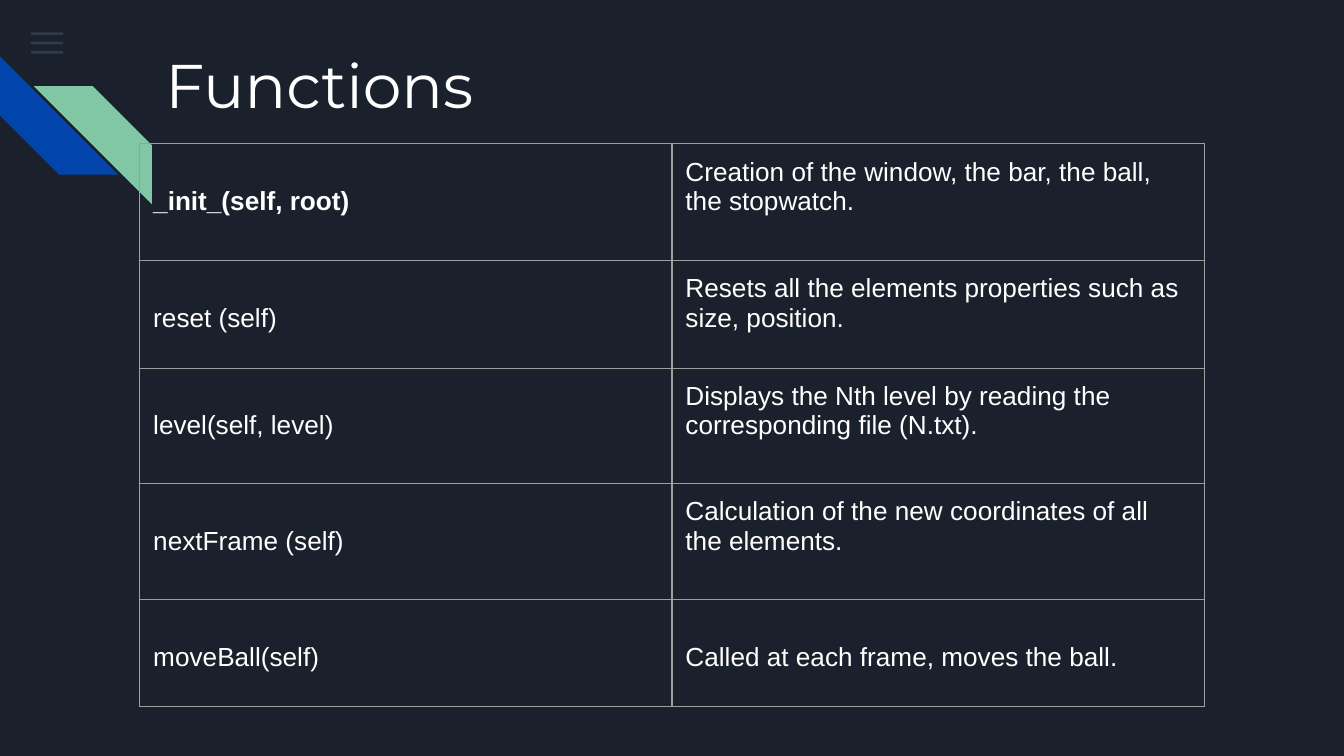
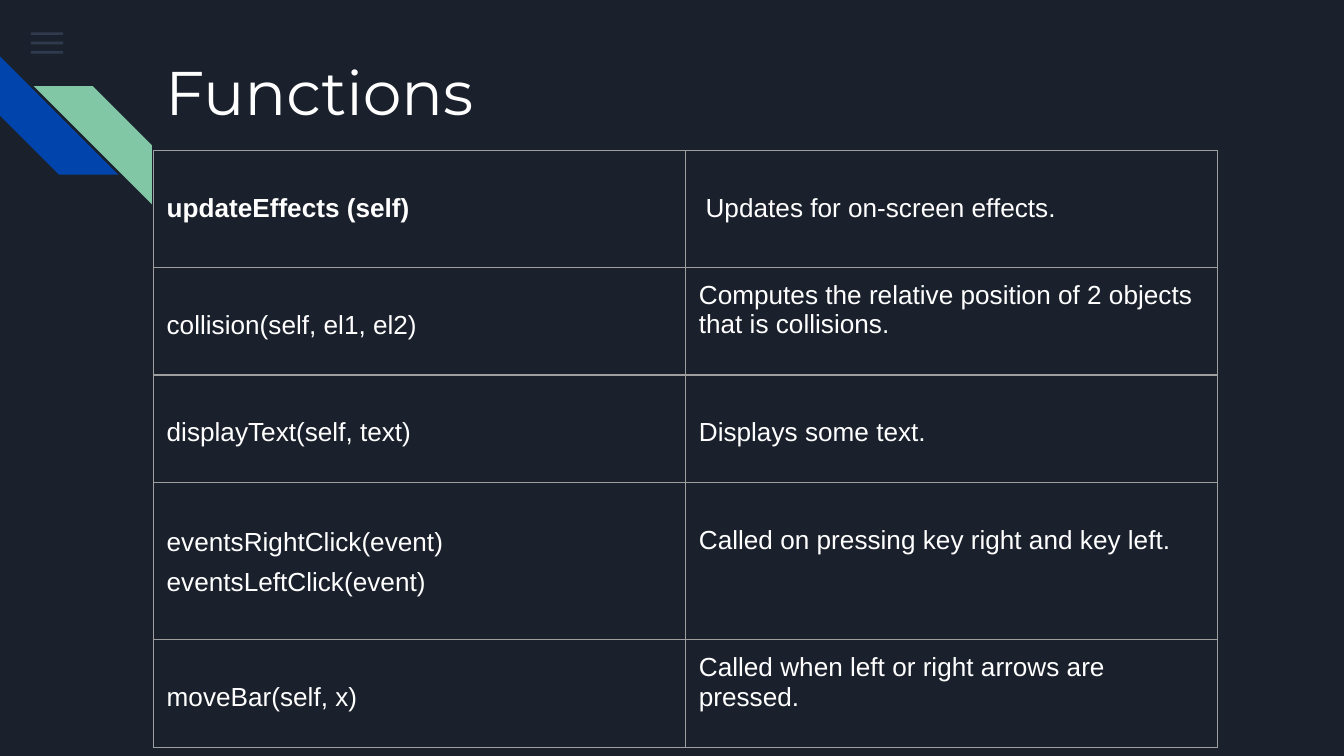
import lxml.etree
import pptx
import pptx.dml.color
import pptx.enum.shapes
import pptx.enum.text
import pptx.oxml.ns
import pptx.util
from pptx.util import Inches

COLORS = {"night": "1B212C", "slate": "55688B", "blue": "0145AC",
          "green": "82C7A5", "white": "FFFFFF", "rule": "9E9E9E"}
RGB = {name: pptx.dml.color.RGBColor.from_string(value) for name, value in COLORS.items()}
qn = pptx.oxml.ns.qn

TITLE_FORMAT = {"name": "Montserrat", "size": pptx.util.Pt(33), "bold": False}
CELL_FORMAT = {"name": "Arial", "size": pptx.util.Pt(14)}
COLUMN_WIDTH = 3.96
INSET = 0.1
LOWERED = 0.32  # top margin that starts the text one line down
LOWERED_PAIR = 0.26  # the same for two widely spaced lines

# Each row: height, function names, description, left and top margin of the description
PAGES = [
    {"title_top": 0.25, "table_at": (1.04, 1.07), "rows": [
        (0.87, ["_init_(self, root)"],
         "Creation of the window, the bar, the ball, the stopwatch.", INSET, INSET),
        (0.8, ["reset (self)"],
         "Resets all the elements properties such as size, position.", INSET, INSET),
        (0.86, ["level(self, level)"],
         "Displays the Nth level by reading the corresponding file (N.txt).", INSET, INSET),
        (0.86, ["nextFrame (self)"],
         "Calculation of the new coordinates of all the elements.", INSET, INSET),
        (0.8, ["moveBall(self)"], "Called at each frame, moves the ball.", INSET, LOWERED),
    ]},
    {"title_top": 0.3, "table_at": (1.14, 1.12), "rows": [
        (0.87, ["updateEffects (self)"], "Updates for on-screen effects.", 0.15, LOWERED),
        (0.8, ["collision(self, el1, el2)"],
         "Computes the relative position of 2 objects that is collisions.", INSET, INSET),
        (0.8, ["displayText(self, text)"], "Displays some text.", INSET, LOWERED),
        (1.17, ["eventsRightClick(event)", "eventsLeftClick(event)"],
         "Called on pressing key right and key left.", INSET, LOWERED),
        (0.8, ["moveBar(self, x)"],
         "Called when left or right arrows are pressed.", INSET, INSET),
    ]},
]


def add_filled(page, kind, left, top, width, height, color):
    shape = page.shapes.add_shape(kind, Inches(left), Inches(top), Inches(width), Inches(height))
    shape.shadow.inherit = False
    shape.fill.solid()
    shape.fill.fore_color.rgb = RGB[color]
    shape.line.fill.background()
    return shape


def format_font(font, values):
    for name, value in values.items():
        setattr(font, name, value)
    font.color.rgb = RGB["white"]


deck = pptx.Presentation()
deck.slide_width = Inches(10)
deck.slide_height = deck.slide_width * 9 // 16
background = deck.slide_master.background.fill
background.solid()
background.fore_color.rgb = RGB["night"]
SHAPES = pptx.enum.shapes.MSO_SHAPE

for content in PAGES:
    page = deck.slides.add_slide(deck.slide_layouts[5])

    # Menu icon and corner stripes
    for index in range(3):
        bar = add_filled(page, SHAPES.RECTANGLE, 0.23, 0.24 + 0.07 * index, 0.24, 0.02, "slate")
        tint = bar.element.spPr.find(".//" + qn("a:srgbClr"))
        lxml.etree.SubElement(tint, qn("a:alpha"), val="36000")
    blue_stripe = add_filled(page, SHAPES.DIAGONAL_STRIPE, 0, 0.42, 0.88, 0.88, "blue")
    blue_stripe.rotation = 270
    green_stripe = add_filled(page, SHAPES.DIAGONAL_STRIPE, 0.25, 0.64, 0.88, 0.88, "green")
    green_stripe.element.spPr.get_or_add_xfrm().set("flipH", "1")

    # Title, in front of the stripes
    title = page.shapes.title
    page.shapes.element.append(title.element)
    title.left, title.top = Inches(1.04), Inches(content["title_top"])
    title.width, title.height = Inches(8.68), Inches(5.02)
    frame = title.text_frame
    frame.text = "Functions"
    frame.auto_size = pptx.enum.text.MSO_AUTO_SIZE.NONE
    frame.vertical_anchor = pptx.enum.text.MSO_ANCHOR.TOP
    frame.margin_left = Inches(0.19)
    frame.margin_top = frame.margin_right = frame.margin_bottom = Inches(INSET)
    frame.paragraphs[0].alignment = pptx.enum.text.PP_ALIGN.LEFT
    format_font(frame.paragraphs[0].runs[0].font, TITLE_FORMAT)

    # Function table
    rows = content["rows"]
    left, top = content["table_at"]
    table = page.shapes.add_table(
        len(rows), 2, Inches(left), Inches(top), Inches(2 * COLUMN_WIDTH),
        Inches(sum(row[0] for row in rows))).table
    table.first_row = table.horz_banding = False
    for column in table.columns:
        column.width = Inches(COLUMN_WIDTH)

    for row_index, (height, functions, description, indent, description_top) in enumerate(rows):
        table.rows[row_index].height = Inches(height)
        function_top = LOWERED_PAIR if len(functions) > 1 else LOWERED
        cells = [(functions, INSET, function_top), ([description], indent, description_top)]
        for column_index, (lines, margin_left, margin_top) in enumerate(cells):
            cell = table.cell(row_index, column_index)
            cell.margin_right = cell.margin_bottom = Inches(INSET)
            cell.margin_left, cell.margin_top = Inches(margin_left), Inches(margin_top)
            cell.vertical_anchor = pptx.enum.text.MSO_ANCHOR.TOP
            cell.text_frame.text = "\n".join(lines)
            for para in cell.text_frame.paragraphs:
                if len(lines) > 1:
                    para.line_spacing = 1.36
                is_bold = row_index == 0 and column_index == 0
                format_font(para.runs[0].font, {**CELL_FORMAT, "bold": is_bold})
            cell.fill.background()
            properties = cell._tc.get_or_add_tcPr()
            for position, side in enumerate(("lnL", "lnR", "lnT", "lnB")):
                border = lxml.etree.Element(qn("a:" + side), w=str(pptx.util.Pt(0.75)))
                fill = lxml.etree.SubElement(border, qn("a:solidFill"))
                lxml.etree.SubElement(fill, qn("a:srgbClr"), val=COLORS["rule"])
                properties.insert(position, border)

deck.save("out.pptx")
